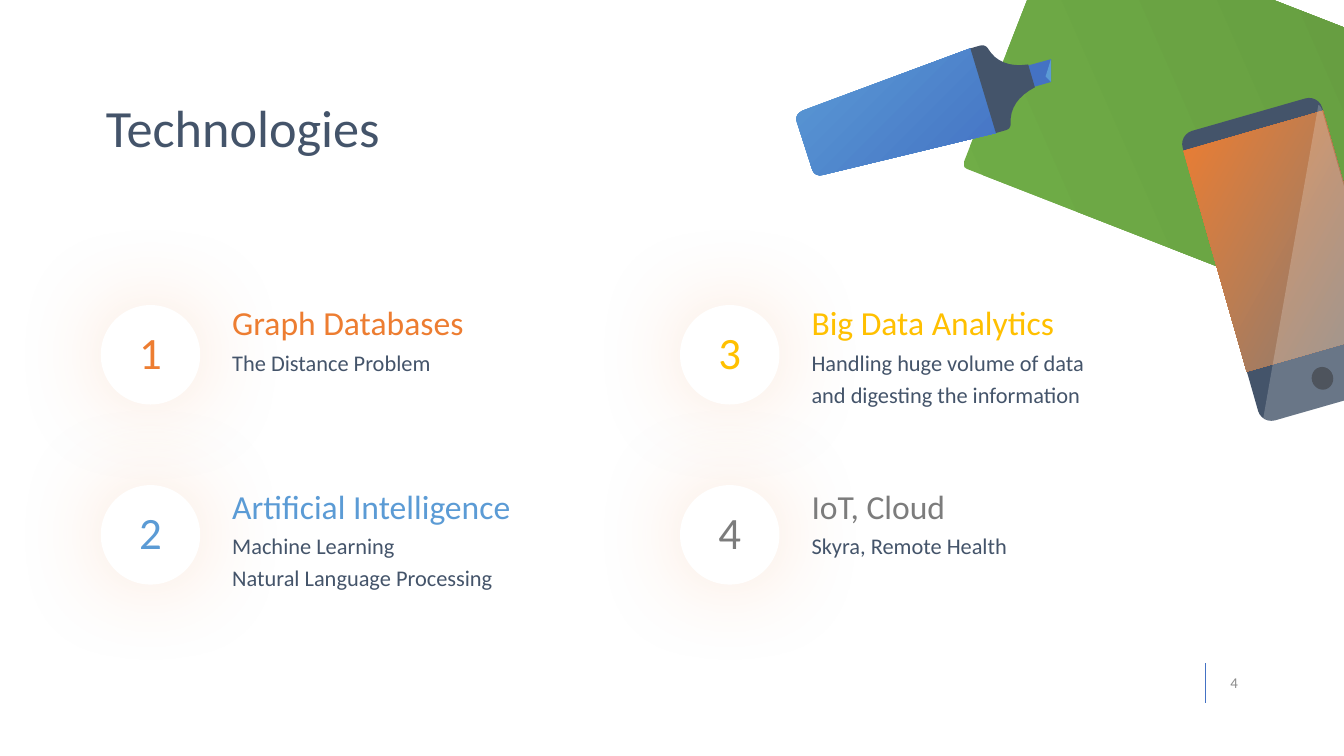
from copy import deepcopy

from lxml import etree
from pptx import Presentation
from pptx.dml.color import RGBColor
from pptx.enum.shapes import MSO_CONNECTOR as Connector, MSO_SHAPE as Shape
from pptx.enum.text import MSO_ANCHOR as Anchor, PP_ALIGN as Align
from pptx.oxml.ns import qn
from pptx.util import Inches, Pt

FONT = "Calibri"
BLUE, SKY, SLATE, ORANGE, GRAY = "4472C4", "5B9BD5", "44546A", "ED7D31", "7C7C7C"
COLUMNS = (0.75, 5.06)
# circle top, heading top, description top
ROWS = ((2.27, 2.23, 2.51), (3.61, 3.60, 3.87))
TOPICS = [
    ("Graph Databases", ["The Distance Problem"], ORANGE),
    ("Artificial Intelligence", ["Machine Learning", "Natural Language Processing"], SKY),
    ("Big Data Analytics", ["Handling huge volume of data and digesting the information"], "FFC000"),
    ("IoT, Cloud", ["Skyra, Remote Health"], GRAY),
]


def rgb(color):
    return RGBColor.from_string(color)


def paint(shape, fill):
    """Fill with one colour, or with a diagonal gradient for a pair of colours."""
    shape.shadow.inherit = False
    shape.line.fill.background()
    if isinstance(fill, str):
        shape.fill.solid()
        shape.fill.fore_color.rgb = rgb(fill)
        return
    shape.fill.gradient()
    shape.fill.gradient_angle = 315
    for stop, color in zip(shape.fill.gradient_stops, fill):
        stop.color.rgb = rgb(color)


def write(shape, lines, size, color, align=Align.LEFT, anchor=Anchor.TOP, spacing=0.9):
    frame = shape.text_frame
    frame.word_wrap = True
    frame.vertical_anchor = anchor
    paragraph = frame.paragraphs[0]
    paragraph.alignment = align
    paragraph.line_spacing = spacing
    for index, line in enumerate(lines):
        if index:
            paragraph.add_line_break()
        run = paragraph.add_run()
        run.text = line
        run.font.name = FONT
        run.font.size = Pt(size)
        run.font.color.rgb = rgb(color)
    # line breaks take the size of the text around them
    for line_break in paragraph._p.findall(qn("a:br")):
        line_break.append(deepcopy(run._r.rPr))


def add_text(slide, box, lines, size, color, **layout):
    write(slide.shapes.add_textbox(*map(Inches, box)), lines, size, color, **layout)


def add_preset(slide, kind, box, fill, rotation=0, corner=None):
    shape = slide.shapes.add_shape(kind, *map(Inches, box))
    paint(shape, fill)
    shape.rotation = rotation
    if corner is not None:
        shape.adjustments[0] = corner
    return shape


def add_outline(slide, points, fill):
    start, *rest = [(Inches(x), Inches(y)) for x, y in points]
    builder = slide.shapes.build_freeform(*start)
    builder.add_line_segments(rest, close=True)
    shape = builder.convert_to_shape()
    paint(shape, fill)
    return shape


def curve(start, control, end, steps=8):
    """Points along a quadratic curve."""
    return [
        tuple((1 - t) ** 2 * a + 2 * t * (1 - t) * b + t * t * c
              for a, b, c in zip(start, control, end))
        for t in (step / steps for step in range(steps + 1))
    ]


def add_glow(shape, color, opacity, blur):
    effects = shape._element.spPr.find(qn("a:effectLst"))
    shadow = etree.SubElement(effects, qn("a:outerShdw"), blurRad=str(Pt(blur)),
                              dist="0", dir="0", algn="ctr", rotWithShape="0")
    tint = etree.SubElement(shadow, qn("a:srgbClr"), val=color)
    etree.SubElement(tint, qn("a:alpha"), val=str(opacity * 1000))


def add_topic(slide, index, heading, details, color):
    column, row = divmod(index, 2)
    left = COLUMNS[column]
    circle_top, heading_top, detail_top = ROWS[row]
    circle = add_preset(slide, Shape.OVAL, (left, circle_top, 0.74, 0.74), "FFFFFF")
    add_glow(circle, ORANGE, 20, 50)
    write(circle, [str(index + 1)], 24, color, align=Align.CENTER, anchor=Anchor.MIDDLE)
    add_text(slide, (left + 0.88, heading_top, 2.74, 0.38), [heading], 18, color)
    add_text(slide, (left + 0.88, detail_top, 2.27, 0.63), details, 12, SLATE, spacing=1.2)


def add_page_number(slide):
    rule = slide.shapes.add_connector(
        Connector.STRAIGHT, Inches(8.97), Inches(5.23), Inches(8.97), Inches(4.93))
    rule.line.width = Pt(1)
    rule.line.color.rgb = rgb(BLUE)
    etree.SubElement(rule._element.spPr, qn("a:effectLst"))
    add_text(slide, (8.77, 4.93, 0.54, 0.3), ["4"], 8, "8C8C8C",
             align=Align.RIGHT, anchor=Anchor.MIDDLE, spacing=1.0)


def add_highlighter(slide):
    # Nib
    add_outline(slide, [(7.82, 0.44), (7.82, 0.61), (7.68, 0.65), (7.64, 0.49)], BLUE)
    # Barrel
    add_outline(slide, [
        (7.22, 0.36), (7.41, 0.99),
        *curve((6.13, 1.3), (6.06, 1.32), (6.04, 1.25)),
        *curve((5.93, 0.91), (5.91, 0.85), (5.98, 0.82)),
    ], (SKY, BLUE))
    # Collar
    add_outline(slide, [
        (7.65, 0.48),
        *curve((7.7, 0.65), (7.51, 0.75), (7.52, 0.92)),
        *curve((7.52, 0.92), (7.52, 0.96), (7.48, 0.97)),
        (7.41, 0.99), (7.22, 0.36),
        *curve((7.29, 0.34), (7.33, 0.33), (7.35, 0.36)),
        *curve((7.35, 0.36), (7.44, 0.51), (7.65, 0.48)),
    ], SLATE)
    # Nib edge
    add_outline(slide, [(7.82, 0.44), (7.82, 0.61), (7.78, 0.57)], SKY)


def add_phone(slide):
    tilt = 344
    add_preset(slide, Shape.ROUNDED_RECTANGLE, (9.06, 0.81, 1.08, 2.24), SLATE, tilt, 0.094)
    add_preset(slide, Shape.RECTANGLE, (9.02, 0.94, 1.08, 1.71), (ORANGE, GRAY), tilt)
    add_preset(slide, Shape.OVAL, (9.76, 2.73, 0.16, 0.17), "222A35", tilt)
    # Glare
    glare = add_outline(slide, [
        *curve((9.81, 0.78), (9.83, 0.79), (9.84, 0.83)),
        *curve((10.39, 2.74), (10.42, 2.86), (10.32, 2.89)),
        *curve((9.48, 3.13), (9.44, 3.14), (9.4, 3.11)),
    ], "FFFFFF")
    color = glare._element.spPr.find(qn("a:solidFill"))[0]
    etree.SubElement(color, qn("a:alpha"), val="20000")


def main():
    presentation = Presentation()
    # Widescreen, 16:9
    presentation.slide_width = Inches(10)
    presentation.slide_height = Inches(10 * 9 / 16)
    slide = presentation.slides.add_slide(presentation.slide_layouts[6])

    # Title and topics
    add_text(slide, (0.69, 0.14, 4.37, 1.09), ["Technologies"], 28, SLATE, anchor=Anchor.BOTTOM)
    for index, topic in enumerate(TOPICS):
        add_topic(slide, index, *topic)
    add_page_number(slide)

    # Desk illustration
    add_preset(slide, Shape.ROUNDED_RECTANGLE, (7.84, -0.59, 2, 2.83),
               ("70AD47", "659C40"), 291.3, 0.019)
    add_highlighter(slide)
    add_phone(slide)

    presentation.save("out.pptx")


if __name__ == "__main__":
    main()
